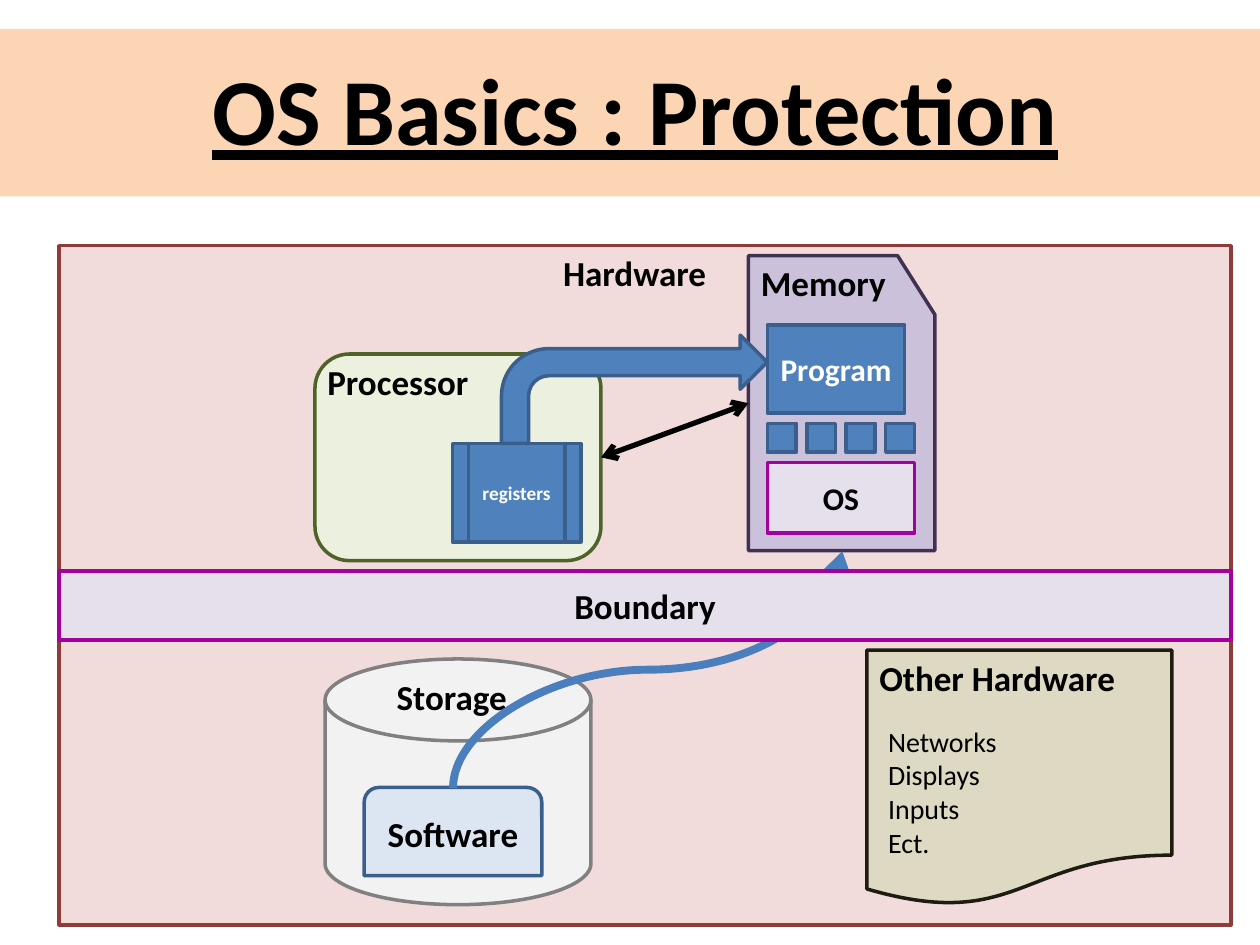
from lxml import etree
from pptx import Presentation
from pptx.dml.color import RGBColor
from pptx.enum.shapes import MSO_CONNECTOR, MSO_SHAPE
from pptx.enum.text import MSO_ANCHOR, MSO_AUTO_SIZE, PP_ALIGN
from pptx.oxml.ns import qn
from pptx.util import Inches, Pt

RECTANGLE = MSO_SHAPE.RECTANGLE
ROUNDED = MSO_SHAPE.ROUNDED_RECTANGLE
ROUND_TOP = MSO_SHAPE.ROUND_2_SAME_RECTANGLE
CARD = MSO_SHAPE.FLOWCHART_CARD
DOCUMENT = MSO_SHAPE.FLOWCHART_DOCUMENT
DISK = MSO_SHAPE.FLOWCHART_MAGNETIC_DISK
PREDEFINED = MSO_SHAPE.FLOWCHART_PREDEFINED_PROCESS
BENT_ARROW = MSO_SHAPE.BENT_ARROW
STRAIGHT, CURVE = MSO_CONNECTOR.STRAIGHT, MSO_CONNECTOR.CURVE
MIDDLE, CENTER, LEFT = MSO_ANCHOR.MIDDLE, PP_ALIGN.CENTER, PP_ALIGN.LEFT
NO_FIT, GROW = MSO_AUTO_SIZE.NONE, MSO_AUTO_SIZE.SHAPE_TO_FIT_TEXT

BLACK, WHITE = "000000", "FFFFFF"
BLUE, DARK_BLUE = "4F81BD", "3A5F8C"
LAVENDER, PURPLE = "E6E0EC", "A4009C"


def color(hex_text):
    """Turn a hex string into a colour."""
    return RGBColor.from_string(hex_text)


class Diagram:
    """Holds the text style and the current slide."""

    font = "Calibri"
    line_width = 2

    def __init__(self, slide):
        """Start on the given slide."""
        self.slide = slide
        self.shapes = slide.shapes

    def set_text(self, frame, text, size, ink=BLACK, bold=True, underline=None, align=LEFT):
        """Fill a text frame and format its runs."""
        frame.text = text
        for para in frame.paragraphs:
            para.alignment = align
            for span in para.runs:
                span.font.name = self.font
                span.font.size = Pt(size)
                span.font.bold = bold
                span.font.underline = underline
                span.font.color.rgb = color(ink)

    def title(self, text, left, top, width, height, size):
        """Place the title and remove the unused subtitle."""
        box = self.shapes.title
        box.left, box.top = Inches(left), Inches(top)
        box.width, box.height = Inches(width), Inches(height)
        frame = box.text_frame
        frame.auto_size = NO_FIT
        frame.vertical_anchor = MIDDLE
        frame.margin_bottom = Inches(0.68)
        self.set_text(frame, text, size, underline=True, align=CENTER)
        subtitle = self.slide.placeholders[1].element
        subtitle.getparent().remove(subtitle)

    def shape(self, kind, left, top, width, height, fill, line=None,
              text="", size=20, ink=BLACK):
        """Add a preset shape, with centred text if given."""
        box = self.shapes.add_shape(
            kind, Inches(left), Inches(top), Inches(width), Inches(height))
        box.shadow.inherit = False
        box.fill.solid()
        box.fill.fore_color.rgb = color(fill)
        if line:
            box.line.color.rgb = color(line)
            box.line.width = Pt(self.line_width)
        else:
            box.line.fill.background()
        if text:
            box.text_frame.vertical_anchor = MIDDLE
            self.set_text(box.text_frame, text, size, ink, align=CENTER)
        return box

    def label(self, text, left, top, width, height=0.44, size=20, bold=True, wrap=False):
        """Add a text box."""
        box = self.shapes.add_textbox(
            Inches(left), Inches(top), Inches(width), Inches(height))
        box.text_frame.word_wrap = wrap
        box.text_frame.auto_size = GROW
        self.set_text(box.text_frame, text, size, bold=bold)

    def connector(self, kind, start, end, ink, width, ends):
        """Add a connector with open arrowheads at the named ends."""
        link = self.shapes.add_connector(
            kind, *(Inches(value) for value in (*start, *end)))
        link.line.color.rgb = color(ink)
        link.line.width = Pt(width)
        properties = link.element.spPr
        outline = properties.find(qn("a:ln"))
        for name in ends:
            etree.SubElement(outline, qn(f"a:{name}"), type="arrow")
        etree.SubElement(properties, qn("a:effectLst"))
        return link


deck = Presentation()
deck.slide_width, deck.slide_height = Inches(10), Inches(7.5)
page = Diagram(deck.slides.add_slide(deck.slide_layouts[0]))

# Title band; the band goes behind the title
band = page.shape(RECTANGLE, 0, 0.23, 10, 1.33, "FCD5B5")
page.shapes.title.element.addprevious(band.element)
page.title("OS Basics : Protection", 0.39, 0.7, 9.3, 0.94, 54)

# Hardware containers
page.shape(RECTANGLE, 0.47, 1.95, 9.3, 5.39, "F2DCDB", "8E3B39")
page.label("Hardware", 4.37, 1.95, 1.35)
page.shape(ROUNDED, 2.5, 2.81, 2.27, 1.64, "EBF1DE", "4F6228")
page.label("Processor", 2.5, 2.81, 1.33)
memory = page.shape(CARD, 5.94, 2.03, 1.48, 2.34, "CCC1DA", "403152")
memory.element.spPr.find(qn("a:xfrm")).set("flipH", "1")
page.label("Memory", 5.94, 2.03, 1.2)
page.shape(DOCUMENT, 6.88, 5.16, 2.42, 2.03, "DDD9C3", "1E1C11")
page.connector(STRAIGHT, (4.77, 3.63), (5.94, 3.2), BLACK, 3, ("headEnd", "tailEnd"))
page.shape(DISK, 2.58, 5.23, 2.11, 1.95, "F2F2F2", "808080")
page.label("Storage", 3.05, 5.31, 1.08)
page.label("Other Hardware", 6.88, 5.16, 2.09, wrap=True)
page.label("Networks\nDisplays\nInputs\nEct.", 6.95, 5.7, 1.08, 1.18,
           size=16, bold=False, wrap=True)

# Processor and memory contents
page.shape(RECTANGLE, 6.09, 2.58, 1.09, 0.7, BLUE, DARK_BLUE, "Program", 18, WHITE)
page.shape(PREDEFINED, 3.59, 3.52, 1.02, 0.78, BLUE, DARK_BLUE, "registers", 11, WHITE)
page.shape(BENT_ARROW, 3.98, 2.66, 2.11, 0.86, BLUE, DARK_BLUE)
page.shape(RECTANGLE, 6.09, 3.67, 1.17, 0.56, LAVENDER, PURPLE, "OS", 18)
CELL, CELL_COUNT = 0.23, 4
cell_step = (1.17 - CELL) / (CELL_COUNT - 1)
for index in range(CELL_COUNT):
    page.shape(RECTANGLE, 6.09 + index * cell_step, 3.36, CELL, CELL, BLUE, DARK_BLUE)

# Software loads into memory across the boundary
page.shape(ROUND_TOP, 2.89, 6.25, 1.41, 0.7, "DCE6F2", DARK_BLUE, "Software")
# A quarter turn makes the curve leave and arrive vertically
loading = page.connector(CURVE, (6.08, 6.86), (4.2, 3.77), "4B7EBC", 4.5, ("tailEnd",))
loading.element.spPr.find(qn("a:xfrm")).set("rot", str(90 * 60000))
page.shape(RECTANGLE, 0.47, 4.53, 9.3, 0.55, LAVENDER, PURPLE, "Boundary")

deck.save("out.pptx")
